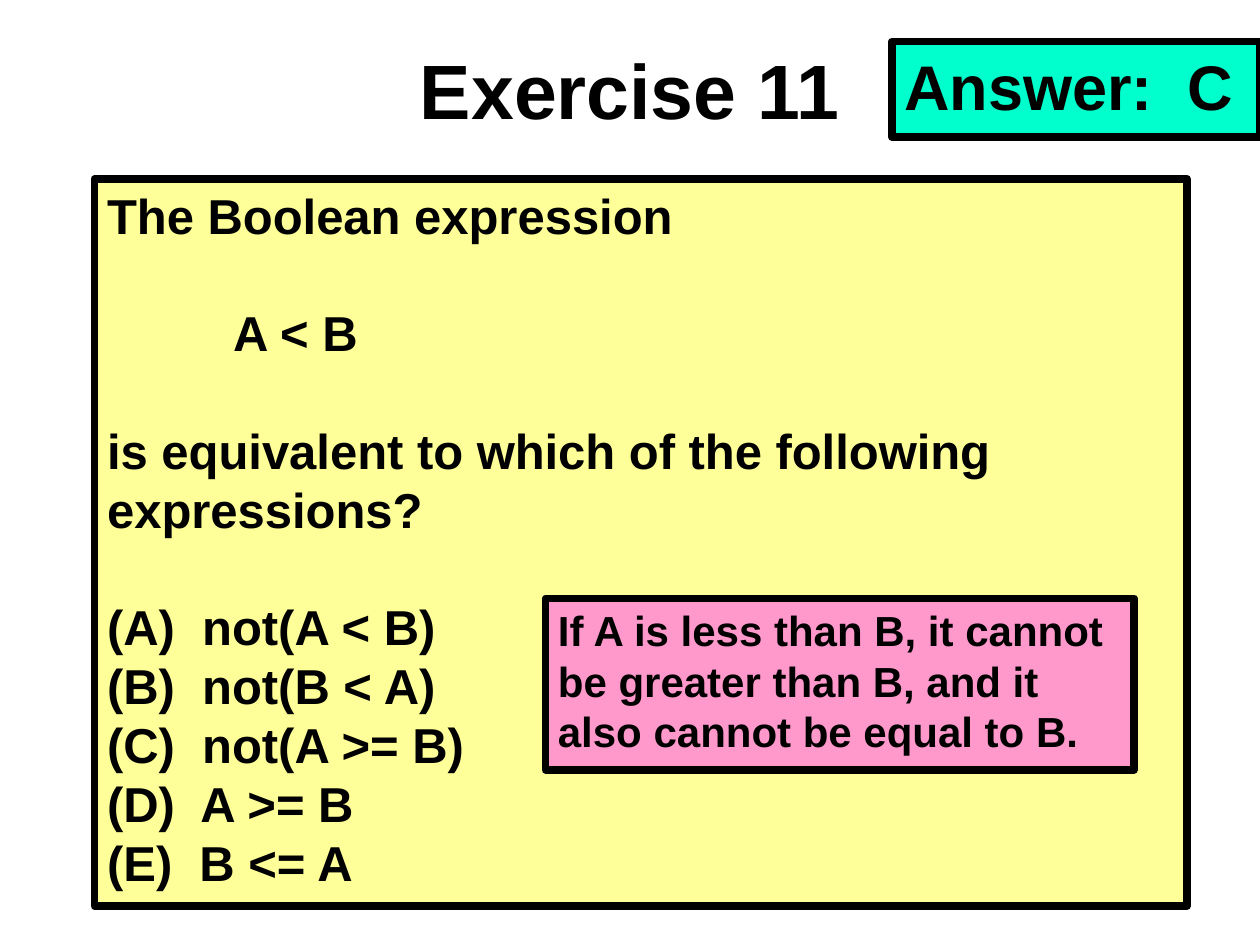
import lxml.etree
import pptx
import pptx.util
import pptx.dml.color
import pptx.enum.shapes
import pptx.enum.text
import pptx.oxml.ns

Inches = pptx.util.Inches
Pt = pptx.util.Pt
RGBColor = pptx.dml.color.RGBColor
ALIGN = pptx.enum.text.PP_ALIGN
ANCHOR = pptx.enum.text.MSO_ANCHOR

BLACK = RGBColor(0, 0, 0)
YELLOW = RGBColor(0xFF, 0xFF, 0x99)
MINT = RGBColor(0x00, 0xFF, 0xCC)
PINK = RGBColor(0xFF, 0x99, 0xCC)

TITLE = "Exercise 11"
QUESTION_GROUPS = [
    (0, ["The Boolean expression"]),
    (1, ["A < B"]),
    (0, ["is equivalent to which of the following", "expressions?"]),
    (0, ["(A)  not(A < B)", "(B)  not(B < A)", "(C)  not(A >= B)",
         "(D)  A >= B", "(E)  B <= A"]),
]
CALLOUTS = [
    ("Answer:  C", 36, MINT, (7.08, 0.33, 2.92, 0.76)),
    ("If A is less than B, it cannot be greater than B, and it also cannot be equal to B.",
     24, PINK, (4.33, 4.75, 4.67, 1.36)),
]
QUESTION_SIZE = 28
LINE_HEIGHT = 1.2


def place(shape, area):
    shape.left, shape.top, shape.width, shape.height = map(Inches, area)


def frame(shape, color):
    shape.fill.solid()
    shape.fill.fore_color.rgb = color
    shape.line.color.rgb = BLACK
    shape.line.width = Pt(4.5)


def style(shape, size, align, anchor):
    text_frame = shape.text_frame
    text_frame.word_wrap = True
    text_frame.auto_size = pptx.enum.text.MSO_AUTO_SIZE.NONE
    text_frame.vertical_anchor = anchor
    for para in text_frame.paragraphs:
        para.alignment = align
        for span in para.runs:
            span.font.name = "Arial"
            span.font.size = Pt(size)
            span.font.bold = True
            span.font.color.rgb = BLACK


def add_question(box):
    lines = [(text, indent, number > 0 and row == 0)
             for number, (indent, group) in enumerate(QUESTION_GROUPS)
             for row, text in enumerate(group)]
    box.text_frame.text = "\n".join(text for text, _, _ in lines)
    for para, (_, indent, gap) in zip(box.text_frame.paragraphs, lines):
        para.space_before = Pt(QUESTION_SIZE * LINE_HEIGHT if gap else 0)
        properties = para._p.get_or_add_pPr()
        properties.set("marL", str(Inches(indent)))
        properties.set("indent", "0")
        lxml.etree.SubElement(properties, pptx.oxml.ns.qn("a:buNone"))
    style(box, QUESTION_SIZE, ALIGN.LEFT, ANCHOR.TOP)


def main():
    deck = pptx.Presentation()
    deck.slide_width, deck.slide_height = Inches(10), Inches(7.5)
    page = deck.slides.add_slide(deck.slide_layouts[1])

    title, question = page.shapes.title, page.placeholders[1]
    place(title, (0, 0.08, 10, 1.25))
    title.text_frame.text = TITLE
    style(title, 44, ALIGN.CENTER, ANCHOR.MIDDLE)

    place(question, (0.75, 1.42, 8.67, 5.77))
    frame(question, YELLOW)
    add_question(question)

    for text, size, color, area in CALLOUTS:
        box = page.shapes.add_shape(
            pptx.enum.shapes.MSO_SHAPE.RECTANGLE, *map(Inches, area))
        box.shadow.inherit = False
        frame(box, color)
        box.text_frame.text = text
        style(box, size, ALIGN.LEFT, ANCHOR.TOP)

    deck.save("out.pptx")


if __name__ == "__main__":
    main()
